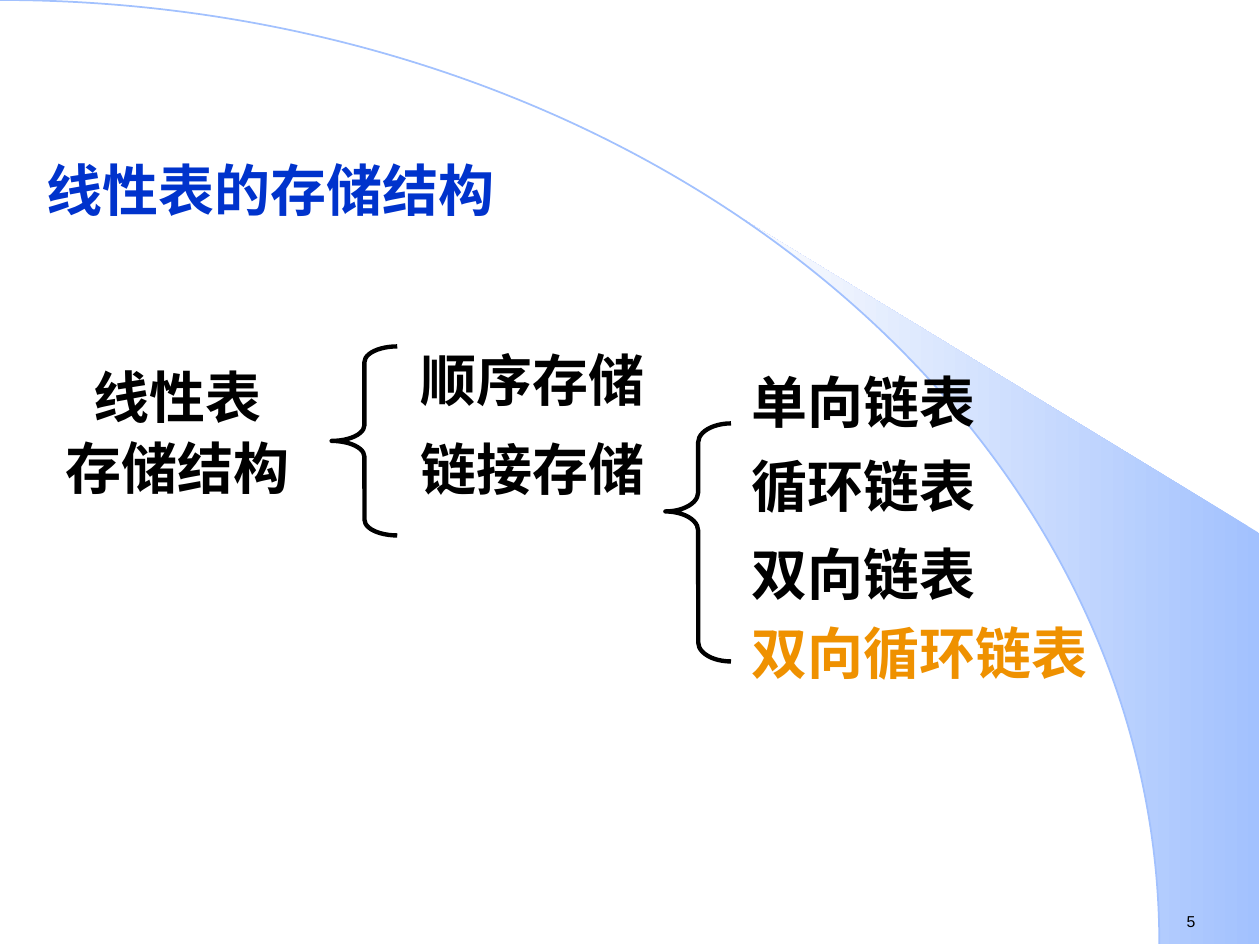
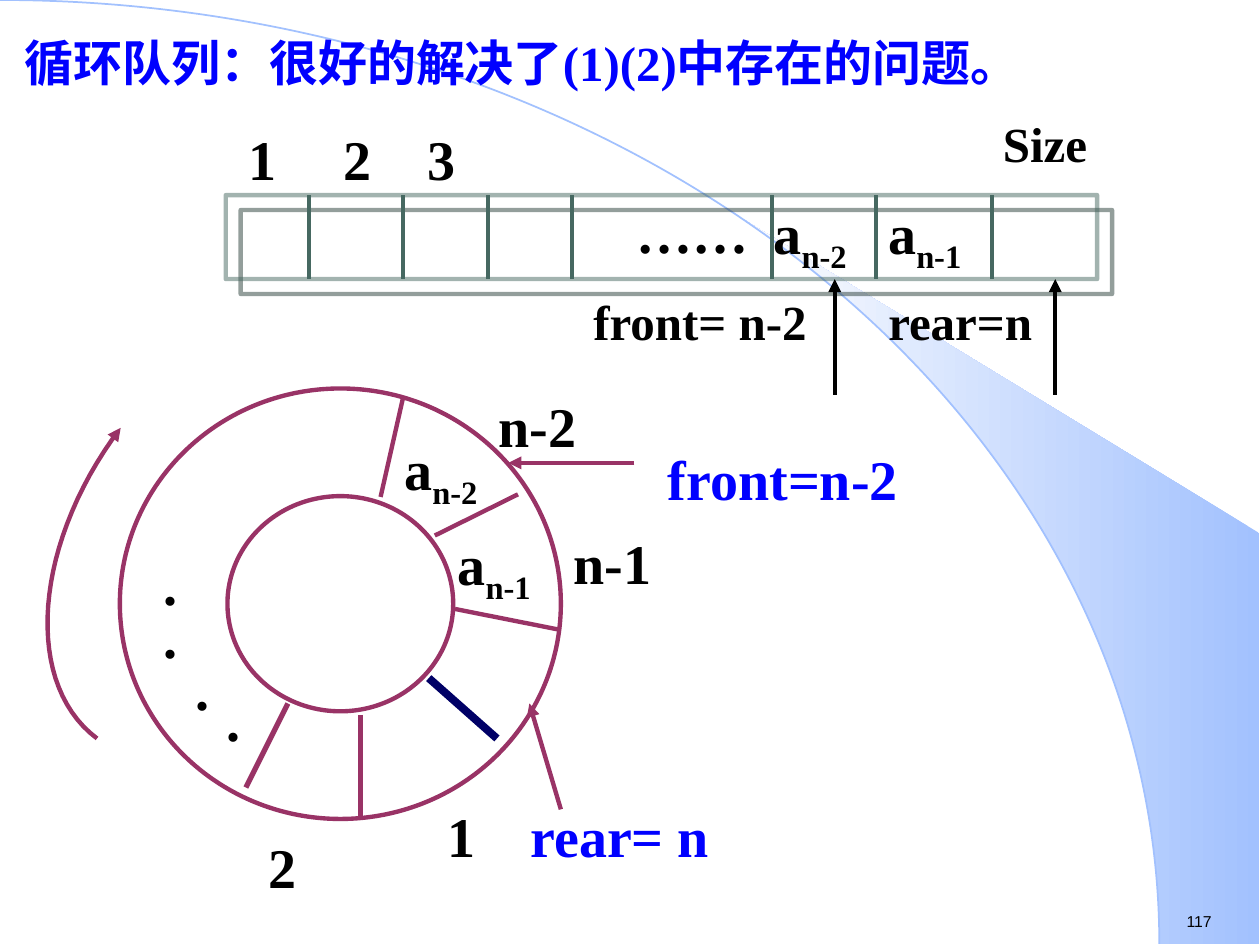
from math import acos, cos, pi, sin

from lxml.etree import SubElement
from pptx import Presentation
from pptx.dml.color import RGBColor
from pptx.enum.shapes import MSO_CONNECTOR, MSO_SHAPE
from pptx.enum.text import MSO_ANCHOR, PP_ALIGN
from pptx.oxml.ns import qn
from pptx.util import Pt

WIDTH, HEIGHT = 720, 540
BLACK = RGBColor(0x00, 0x00, 0x00)
SKY = RGBColor(0xA2, 0xC1, 0xFE)
NEAR_WHITE = RGBColor(0xFE, 0xFE, 0xFE)
TITLE_BLUE = RGBColor(0x00, 0x33, 0xCC)
BLUE = RGBColor(0x00, 0x00, 0xFF)
ORANGE = RGBColor(0xEF, 0x91, 0x00)
GREEN = RGBColor(0x46, 0x68, 0x61)
PLUM = RGBColor(0x99, 0x33, 0x66)
NAVY = RGBColor(0x00, 0x00, 0x66)
CJK, SERIF, SANS = "Noto Sans CJK SC", "Times New Roman", "Arial"


def add_text(s, x, y, w, h, paras, size=32, color=BLACK, font=SERIF, bold=True,
             spacing=1.11, before=0, align=PP_ALIGN.LEFT):
    tf = s.shapes.add_textbox(Pt(x), Pt(y), Pt(w), Pt(h)).text_frame
    tf.word_wrap = True
    tf.vertical_anchor = MSO_ANCHOR.TOP
    for i, runs in enumerate(paras):
        p = tf.paragraphs[0] if i == 0 else tf.add_paragraph()
        p.alignment = align
        p.line_spacing = spacing
        if i:
            p.space_before = Pt(before)
        for j, text in enumerate(runs):
            r = p.add_run()
            r.text = text
            r.font.size = Pt(size)
            r.font.bold = bold
            r.font.color.rgb = color
            r.font.name = font
            rPr = r._r.get_or_add_rPr()
            SubElement(rPr, qn("a:ea"), typeface=CJK)
            if j:
                rPr.set("baseline", "-25000")


def style_outline(sp, color, width):
    sp.shadow.inherit = False
    sp.fill.background()
    sp.line.color.rgb = color
    sp.line.width = Pt(width)


def add_outline(s, kind, x, y, w, h, color, width, adjustments=()):
    sp = s.shapes.add_shape(kind, Pt(x), Pt(y), Pt(w), Pt(h))
    style_outline(sp, color, width)
    for i, value in enumerate(adjustments):
        sp.adjustments[i] = value
    return sp


def add_curve(s, points, closed):
    start, *rest = [(Pt(x), Pt(y)) for x, y in points]
    builder = s.shapes.build_freeform(*start, scale=1.0)
    builder.add_line_segments(rest, close=closed)
    return builder.convert_to_shape()


def add_arrowhead(sp):
    ln = sp.element.spPr.find(qn("a:ln"))
    SubElement(ln, qn("a:tailEnd"), type="triangle")


def add_line(s, x1, y1, x2, y2, color, width=2.5, arrow=False):
    c = s.shapes.add_connector(MSO_CONNECTOR.STRAIGHT, Pt(x1), Pt(y1), Pt(x2), Pt(y2))
    c.line.color.rgb = color
    c.line.width = Pt(width)
    if arrow:
        add_arrowhead(c)
    SubElement(c.element.spPr, qn("a:effectLst"))


def add_backdrop(s, number):
    rx, ry, steps = 662.5, 539.3, 40
    first = acos(1 - 124.6 / ry)
    angles = [first + (pi / 2 - first) * i / steps for i in range(steps + 1)]
    edge = [(rx * sin(a), ry * (1 - cos(a))) for a in angles]
    wedge = add_curve(s, edge + [(719.5, ry), (719.5, 304.6)], True)
    wedge.shadow.inherit = False
    wedge.line.fill.background()
    wedge.fill.gradient()
    wedge.fill.gradient_angle = 180
    for stop, color in zip(wedge.fill.gradient_stops, (SKY, NEAR_WHITE)):
        stop.color.rgb = color
    add_outline(s, MSO_SHAPE.ARC, -rx, 0, 2 * rx, 2 * ry, SKY, 1)
    add_text(s, 671, 517.5, 55, 18, [[number]], 9, font=SANS, bold=False, spacing=1)


def add_storage_tree(s, x, y):
    def brace(dx, dy, h, radius, middle):
        add_outline(s, MSO_SHAPE.LEFT_BRACE, x + dx, y + dy, 37.5, h, BLACK, 2.5,
                    (radius, middle))

    brace(170, 0, 108, 0.24, 0.5)
    brace(360.7, 44, 136, 0.29, 0.37)
    add_text(s, x, y + 19, 163.5, 77, [["线性表"], ["存储结构"]], font=CJK,
             spacing=0.61, before=17, align=PP_ALIGN.CENTER)
    add_text(s, x + 214, y, 150, 104, [["顺序存储"], ["链接存储"]], font=CJK,
             spacing=0.9, before=16.6)
    lists = [("单向链表", 22, BLACK), ("循环链表", 70, BLACK),
             ("双向链表", 120, BLACK), ("双向循环链表", 165, ORANGE)]
    for name, dy, color in lists:
        add_text(s, x + 403, y + dy, 231, 32, [[name]], color=color, font=CJK,
                 spacing=0.61)


def add_array(s, x, y, w, h):
    frame = add_outline(s, MSO_SHAPE.RECTANGLE, x, y, w, h, GREEN, 2.5)
    spPr = frame.element.spPr
    SubElement(spPr.find(qn("a:ln")).find(qn("a:solidFill"))[0], qn("a:alpha"), val="50000")
    shadow = SubElement(spPr.find(qn("a:effectLst")), qn("a:outerShdw"),
                        dist=str(Pt(12.1)), dir="2700000", algn="ctr", rotWithShape="0")
    SubElement(shadow, qn("a:srgbClr"), val="293E39")

    for dx in (47.5, 101.5, 150, 198, 312, 371.5, 438):
        add_line(s, x + dx, y, x + dx, y + h, GREEN, 2.25)
    for index, dx in (("1", 6), ("2", 60), ("3", 108)):
        add_text(s, x + dx, y - 48, 36, 46, [[index]])
    for runs, dx, width in ((["……"], 227.5, 90), (["a", "n-2"], 306, 72),
                            (["a", "n-1"], 371.5, 72)):
        add_text(s, x + dx, y - 6.5, width, 51, [runs])
    for label, dx, dy, width in (("Size", 437, -54, 108), ("front= n-2", 203, h, 139),
                                 ("rear=n", 371.5, h, 97)):
        add_text(s, x + dx, y + dy, width, 41, [[label]], 28)
    for dx in (348, 474):
        add_line(s, x + dx, y + 114, x + dx, y + h, BLACK, arrow=True)


def add_turn_arrow(s, x, y):
    ends = [(-13, 200), (-55.5, 168.5), (-49.5, 88.5), (0.5, 22.5)]
    steps = 30
    points = []
    for i in range(steps + 1):
        t = i / steps
        weights = ((1 - t) ** 3, 3 * t * (1 - t) ** 2, 3 * t * t * (1 - t), t ** 3)
        points.append((x + sum(k * px for k, (px, py) in zip(weights, ends)),
                       y + sum(k * py for k, (px, py) in zip(weights, ends))))
    arrow = add_curve(s, points, False)
    style_outline(arrow, PLUM, 2.5)
    add_arrowhead(arrow)


def add_ring(s, x, y, w, h):
    add_outline(s, MSO_SHAPE.DONUT, x, y, w, h, PLUM, 2.5, (0.25,))
    spokes = [(191.5, 126, w, 138, PLUM, 2.5), (180, 84, 227.5, 60.5, PLUM, 2.5),
              (176.5, 165.5, 215.5, 200, NAVY, 4.5), (137.5, 186.5, 137.5, h, PLUM, 2.5),
              (162, 4.5, 149, 62, PLUM, 2.5), (96, 180, 72, 228, PLUM, 3)]
    for x1, y1, x2, y2, color, width in spokes:
        add_line(s, x + x1, y + y1, x + x2, y + y2, color, width)
    for x1, y1, x2, y2 in ((252, 240.5, 234, 180), (294, 42.5, 222, 42.5)):
        add_line(s, x + x1, y + y1, x + x2, y + y2, PLUM, arrow=True)
    labels = [(["n-2"], 209.5, -6, 72), (["a", "n-2"], 155.5, 18, 72),
              (["a", "n-1"], 186, 72, 72), (["n-1"], 252, 72, 72),
              (["1"], 180, 228, 43), (["2"], 78, 246, 43)]
    dots = [(["."], dx, dy, 43) for dx, dy in ((18, 84), (18, 114.5), (36, 144), (54, 162))]
    for runs, dx, dy, width in labels + dots:
        add_text(s, x + dx, y + dy, width, 46, [runs])
    for label, dx, dy in (("front=n-2", 306, 24.5), ("rear= n", 227.5, 228)):
        add_text(s, x + dx, y + dy, 180, 46, [[label]], color=BLUE)
    add_turn_arrow(s, x, y)


def build_storage_slide(s):
    add_backdrop(s, "5")
    add_text(s, 19.5, 74, 420, 88, [["线性表的存储结构"]], color=TITLE_BLUE, font=CJK,
             spacing=1.3)
    add_storage_tree(s, 19.5, 198)


def build_queue_slide(s):
    add_backdrop(s, "117")
    add_array(s, 129, 111.5, 498, 48)
    add_text(s, 7, 13.5, 620, 46, [["循环队列：很好的解决了(1)(2)中存在的问题。"]], 28,
             BLUE, spacing=1.04)
    add_ring(s, 68.5, 222, 252, 246)


def main():
    prs = Presentation()
    prs.slide_width, prs.slide_height = Pt(WIDTH), Pt(HEIGHT)
    for build in (build_storage_slide, build_queue_slide):
        build(prs.slides.add_slide(prs.slide_layouts[6]))
    prs.save("out.pptx")


if __name__ == "__main__":
    main()
